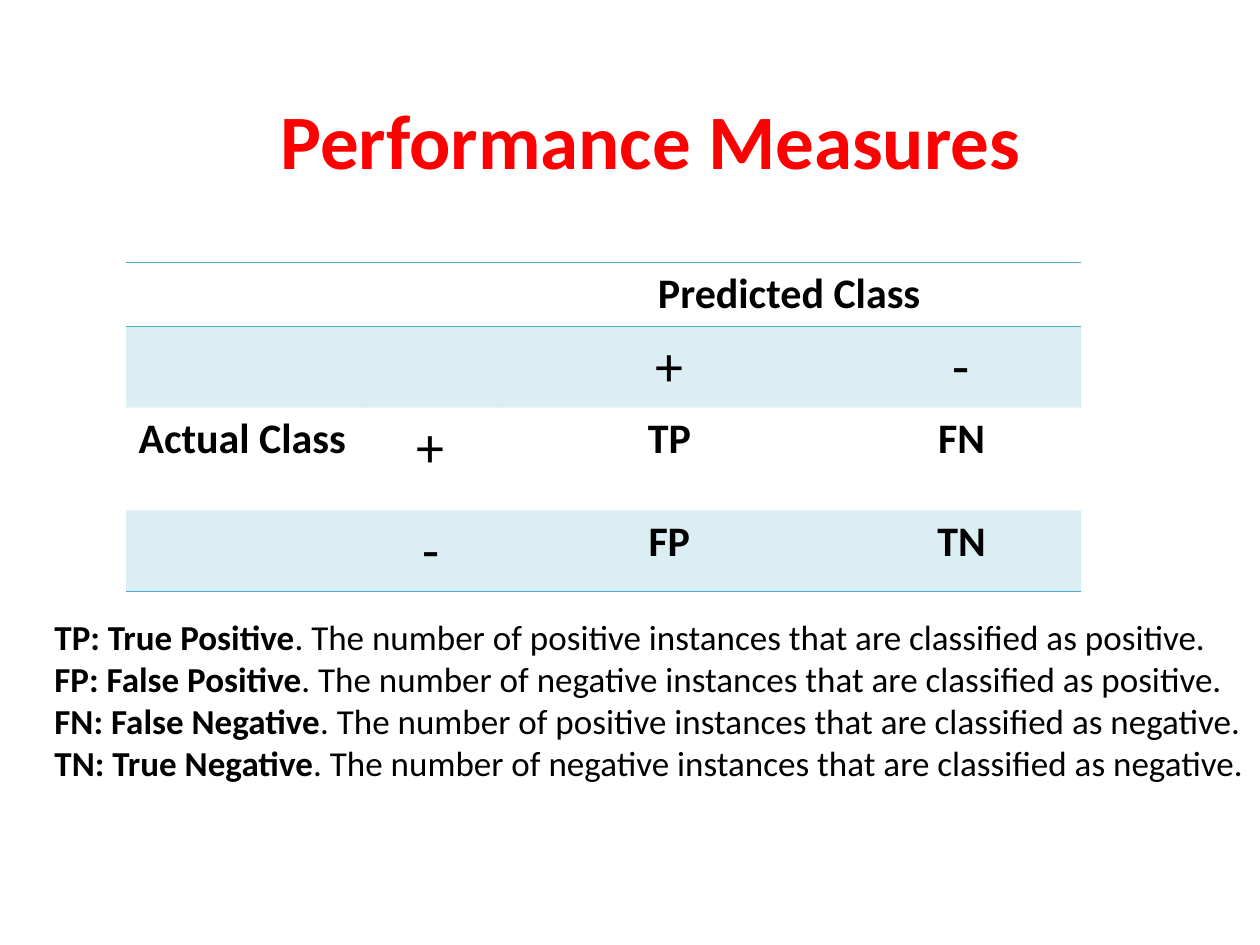
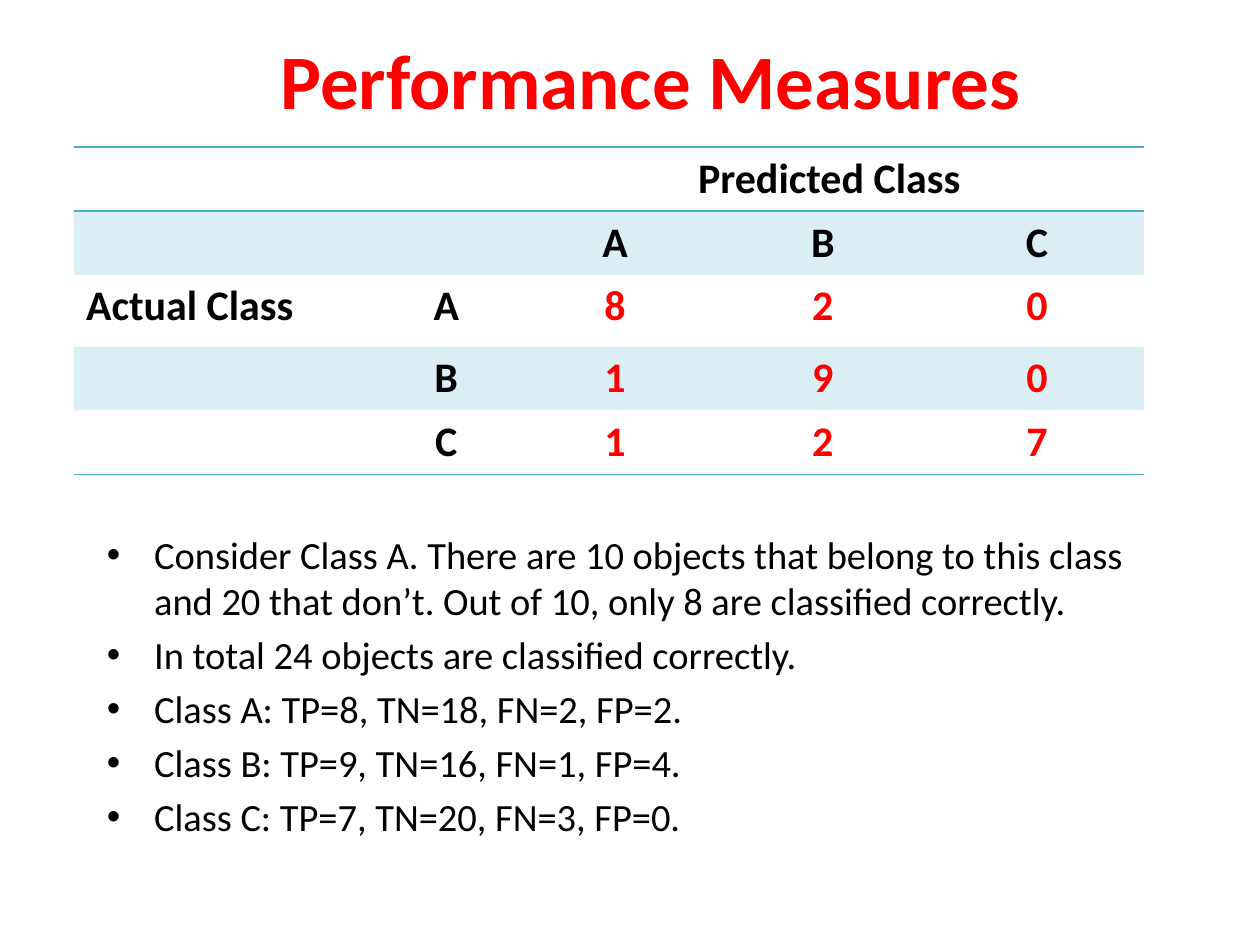
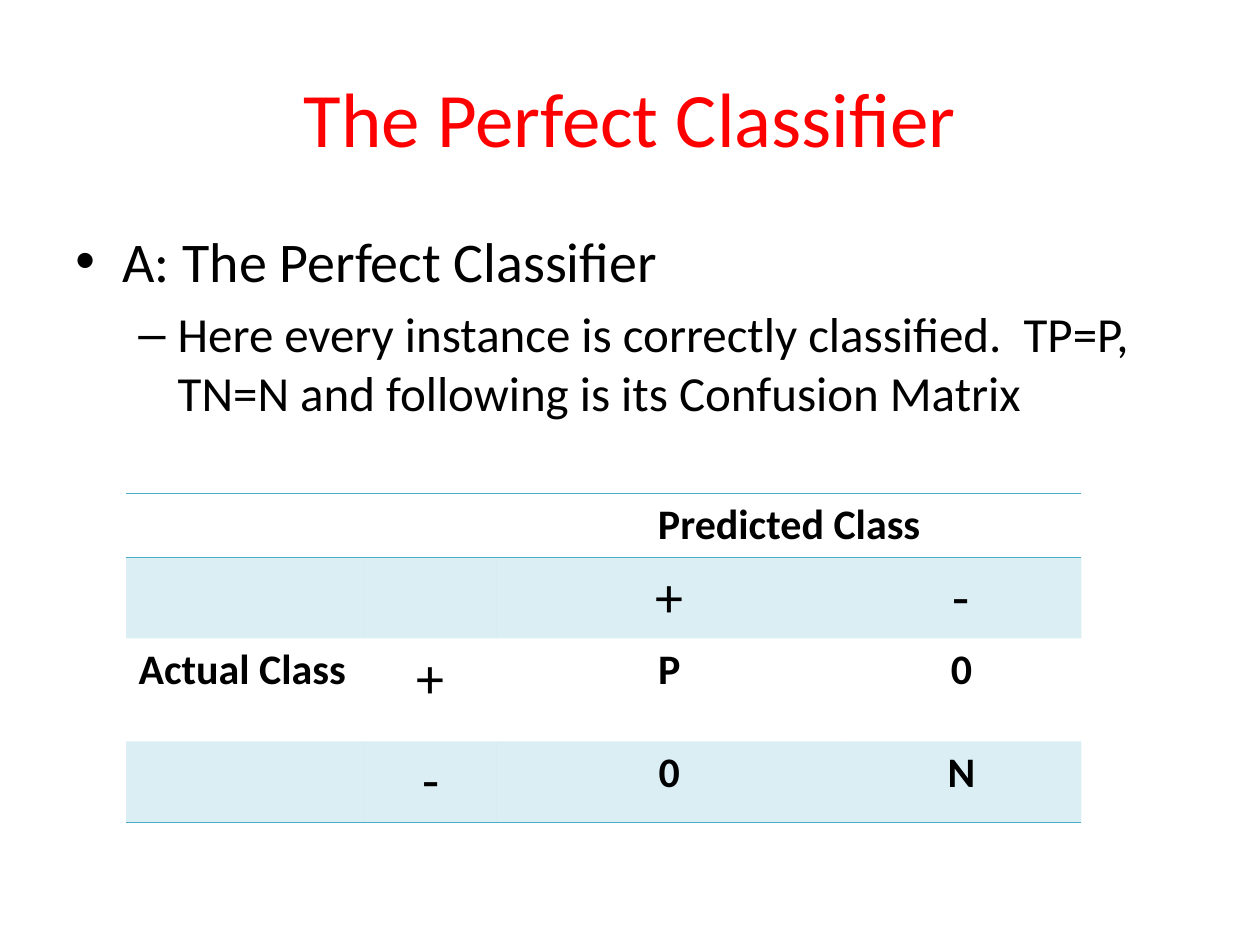
"""Build three slides on confusion matrices and classifier performance measures."""
import pptx
import pptx.dml.color
import pptx.enum.text
import pptx.oxml
import pptx.oxml.ns
import pptx.util

Pt = pptx.util.Pt
RGBColor = pptx.dml.color.RGBColor
PP_ALIGN = pptx.enum.text.PP_ALIGN
MSO_ANCHOR = pptx.enum.text.MSO_ANCHOR
qn = pptx.oxml.ns.qn

RED = RGBColor(0xFF, 0x00, 0x00)
BLACK = RGBColor(0x00, 0x00, 0x00)
TEAL = RGBColor(0x4B, 0xAC, 0xC6)
FONT = "Calibri"
NO_STYLE = "{2D5ABB26-0587-4C30-8999-92F81FD0307C}"
NS = 'xmlns:a="http://schemas.openxmlformats.org/drawingml/2006/main"'


def add_run(p, text, size, color=BLACK, bold=False):
    r = p.add_run()
    r.text = text
    r.font.name = FONT
    r.font.size = Pt(size)
    r.font.bold = bold
    r.font.color.rgb = color


def add_matrix(slide, left, top, widths, heights, rows, count_color=BLACK):
    sp = slide.shapes.add_table(len(rows), len(widths), Pt(left), Pt(top),
                                Pt(sum(widths)), Pt(sum(heights)))
    table = sp.table
    table.first_row = table.horz_banding = False
    table._tbl.tblPr.find(qn("a:tableStyleId")).text = NO_STYLE
    for column, width in zip(table.columns, widths):
        column.width = Pt(width)
    for row, height in zip(table.rows, heights):
        row.height = Pt(height)
    table.cell(0, 2).merge(table.cell(0, len(widths) - 1))
    for i, row in enumerate(rows):
        edges = {0: ["lnB", "lnT"], len(rows) - 1: ["lnB"]}.get(i, [])
        for j, text in enumerate(row):
            cell = table.cell(i, j)
            if i % 2:
                cell.fill.solid()
                cell.fill.fore_color.rgb = TEAL
                color = cell._tc.tcPr.find(".//" + qn("a:srgbClr"))
                color.append(pptx.oxml.parse_xml(f'<a:alpha {NS} val="20000"/>'))
            else:
                cell.fill.background()
            for edge in edges:
                cell._tc.tcPr.insert(0, pptx.oxml.parse_xml(
                    f'<a:{edge} {NS} w="{Pt(1)}"><a:solidFill>'
                    f'<a:srgbClr val="{TEAL}"/></a:solidFill></a:{edge}>'))
            if text:
                p = cell.text_frame.paragraphs[0]
                p.alignment = PP_ALIGN.CENTER if j else PP_ALIGN.LEFT
                sign = text in "+-"
                add_run(p, text, 32 if sign else 24,
                        count_color if text.isdigit() else BLACK, not sign)


prs = pptx.Presentation()
prs.slide_width = Pt(720)
prs.slide_height = Pt(540)

slides = []
for title, left, top, bold in [("Performance Measures", 48, 34, True),
                               ("Performance Measures", 48, 0, True),
                               ("The Perfect Classifier", 36, 21.6, False)]:
    slide = prs.slides.add_slide(prs.slide_layouts[5])
    sp = slide.shapes.title
    sp.left, sp.top, sp.width, sp.height = Pt(left), Pt(top), Pt(648), Pt(90)
    tf = sp.text_frame
    tf.vertical_anchor = MSO_ANCHOR.MIDDLE
    p = tf.paragraphs[0]
    p.alignment = PP_ALIGN.CENTER
    add_run(p, title, 44, RED, bold)
    slides.append(slide)
measures, example, perfect = slides

for slide, top, (tp, fn, fp, tn) in [(measures, 150, ("TP", "FN", "FP", "TN")),
                                     (perfect, 282, ("P", "0", "0", "N"))]:
    add_matrix(slide, 72, top, [136.5, 75.5, 197, 137], [36.5, 46.3, 58.8, 46.3],
               [["", "", "Predicted Class", ""],
                ["", "", "+", "-"],
                ["Actual Class", "+", tp, fn],
                ["", "-", fp, tn]])

add_matrix(example, 42, 84, [174, 78, 115, 122.4, 122.4], [36.5, 36.5, 41, 36.5, 36.5],
           [["", "", "Predicted Class", "", ""],
            ["", "", "A", "B", "C"],
            ["Actual Class", "A", "8", "2", "0"],
            ["", "B", "1", "9", "0"],
            ["", "C", "1", "2", "7"]], RED)

tf = measures.shapes.add_textbox(Pt(24), Pt(348), Pt(696), Pt(128)).text_frame
tf.word_wrap = True
terms = [("TP: True Positive", "positive", "positive"),
         ("FP: False Positive", "negative", "positive"),
         ("FN: False Negative", "positive", "negative"),
         ("TN: True Negative", "negative", "negative")]
for i, (term, actual, predicted) in enumerate(terms):
    p = tf.add_paragraph() if i else tf.paragraphs[0]
    add_run(p, term, 20, bold=True)
    add_run(p, f". The number of {actual} instances that are classified as {predicted}.", 20)

example_points = [
    "Consider Class A. There are 10 objects that belong to this class and 20 that don’t. "
    "Out of 10, only 8 are classified correctly.",
    "In total 24 objects are classified correctly.",
    "Class A: TP=8, TN=18, FN=2, FP=2.",
    "Class B: TP=9, TN=16, FN=1, FP=4.",
    "Class C: TP=7, TN=20, FN=3, FP=0.",
]
perfect_points = [
    (0, 32, "A: The Perfect Classifier"),
    (1, 28, "Here every instance is correctly classified.  TP=P, TN=N "
            "and following is its Confusion Matrix"),
]
bullets = [("•", 27, -27), ("–", 58.5, -22.5)]
for slide, box, points in [
        (example, (54, 300, 618, 222), [(0, 22, text) for text in example_points]),
        (perfect, (36, 126, 648, 356), perfect_points)]:
    tf = slide.shapes.add_textbox(*map(Pt, box)).text_frame
    tf.word_wrap = True
    for i, (level, size, text) in enumerate(points):
        p = tf.add_paragraph() if i else tf.paragraphs[0]
        p.level = level
        p.space_before = Pt(size * 0.2)
        char, margin, indent = bullets[level]
        pPr = p._p.get_or_add_pPr()
        pPr.set("marL", str(Pt(margin)))
        pPr.set("indent", str(Pt(indent)))
        pPr.append(pptx.oxml.parse_xml(f'<a:buFont {NS} typeface="Arial"/>'))
        pPr.append(pptx.oxml.parse_xml(f'<a:buChar {NS} char="{char}"/>'))
        add_run(p, text, size)

prs.save("out.pptx")
